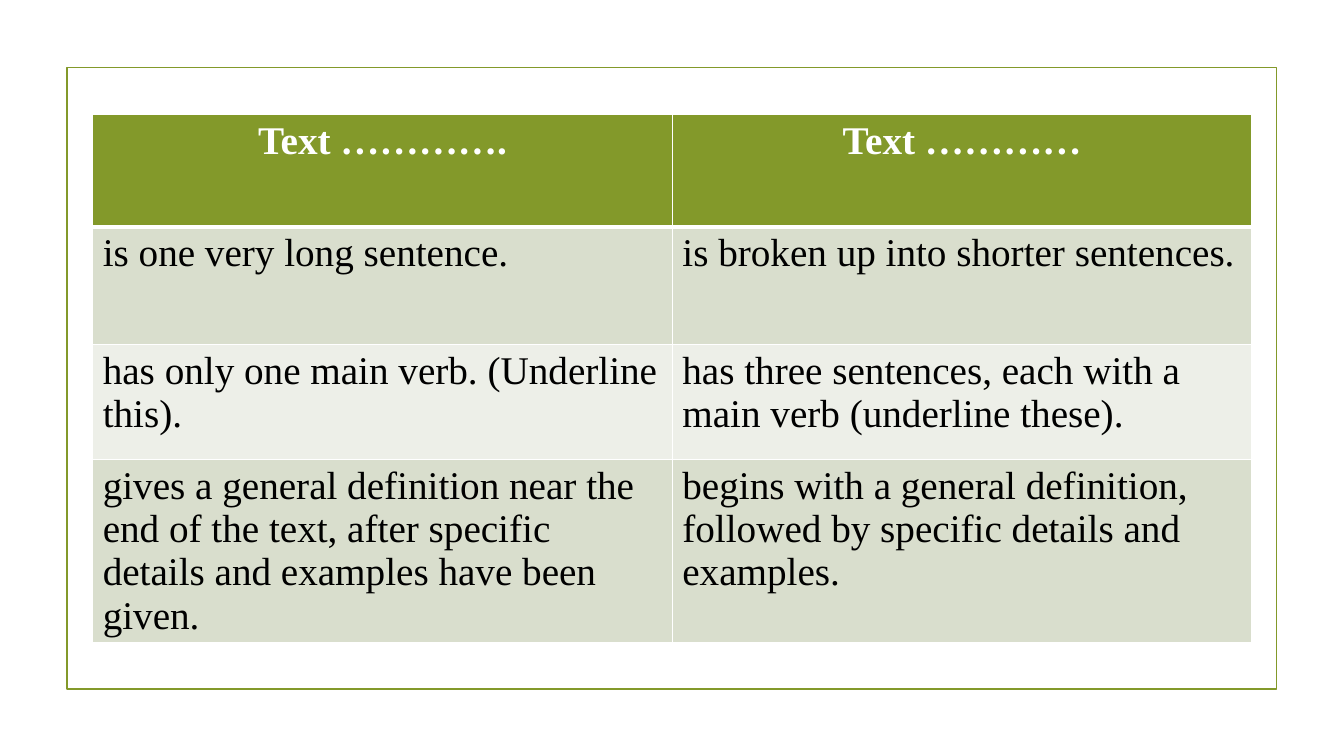
from dataclasses import dataclass

from pptx import Presentation
from pptx.dml.color import RGBColor as RGB
from pptx.enum.shapes import MSO_SHAPE as SHAPE
from pptx.enum.text import MSO_ANCHOR as ANCHOR, PP_ALIGN as ALIGN
from pptx.oxml import parse_xml
from pptx.oxml.ns import nsdecls
from pptx.util import Pt


@dataclass(frozen=True)
class Theme:
    font: str = "Times New Roman"
    size: float = 28
    green: str = "83992A"
    white: str = "FFFFFF"
    black: str = "000000"
    bands: tuple = ("D9DECD", "EDEFE8")
    frame_line: float = 1.25
    rule: float = 1
    header_rule: float = 3


THEME = Theme()

ROWS = [
    ("Text ………….", "Text …………"),
    ("is one very long sentence.", "is broken up into shorter sentences."),
    ("has only one main verb. (Underline this).",
     "has three sentences, each with a main verb (underline these)."),
    ("gives a general definition near the end of the text, after specific "
     "details and examples have been given.",
     "begins with a general definition, followed by specific details and examples."),
]
ROW_HEIGHTS = (80, 84, 82, 131)
COLUMN_WIDTH = 414


def add_frame(s, x, y, w, h):
    sp = s.shapes.add_shape(SHAPE.RECTANGLE, Pt(x), Pt(y), Pt(w), Pt(h))
    sp.shadow.inherit = False
    sp.fill.background()
    sp.line.color.rgb = RGB.from_string(THEME.green)
    sp.line.width = Pt(THEME.frame_line)


def set_borders(cell, widths):
    """Draw white borders; widths maps a side (L, R, T, B) to points."""
    props = cell._tc.get_or_add_tcPr()
    # Borders come before the fill in the cell properties
    for i, (side, width) in enumerate(widths.items()):
        props.insert(i, parse_xml(
            f'<a:ln{side} {nsdecls("a")} w="{Pt(width)}"><a:solidFill>'
            f'<a:srgbClr val="{THEME.white}"/></a:solidFill></a:ln{side}>'))


def format_cell(cell, text, fill, color, bold, align):
    cell.fill.solid()
    cell.fill.fore_color.rgb = RGB.from_string(fill)
    cell.vertical_anchor = ANCHOR.TOP
    p = cell.text_frame.paragraphs[0]
    p.alignment = align
    r = p.add_run()
    r.text = text
    r.font.color.rgb = RGB.from_string(color)
    for name, value in {"name": THEME.font, "size": Pt(THEME.size), "bold": bold}.items():
        setattr(r.font, name, value)


def add_comparison(s, x, y):
    cols = len(ROWS[0])
    table = s.shapes.add_table(len(ROWS), cols, Pt(x), Pt(y),
                               Pt(cols * COLUMN_WIDTH), Pt(sum(ROW_HEIGHTS))).table
    for column in table.columns:
        column.width = Pt(COLUMN_WIDTH)
    for i, (texts, height) in enumerate(zip(ROWS, ROW_HEIGHTS)):
        table.rows[i].height = Pt(height)
        header = i == 0
        look = {
            "fill": THEME.green if header else THEME.bands[(i - 1) % 2],
            "color": THEME.white if header else THEME.black,
            "bold": header,
            "align": ALIGN.CENTER if header else ALIGN.LEFT,
        }
        borders = {
            "L": THEME.rule,
            "R": THEME.rule,
            "T": THEME.header_rule if i == 1 else THEME.rule,
            "B": THEME.header_rule if header else THEME.rule,
        }
        for j, text in enumerate(texts):
            cell = table.cell(i, j)
            format_cell(cell, text, **look)
            set_borders(cell, borders)


def main():
    prs = Presentation()
    prs.slide_width, prs.slide_height = Pt(960), Pt(540)
    s = prs.slides.add_slide(prs.slide_layouts[6])

    # Green frame around the slide
    add_frame(s, 47.75, 48.25, 864, 444)

    # Table comparing the two texts
    add_comparison(s, 66.25, 82)

    prs.save("out.pptx")


if __name__ == "__main__":
    main()
